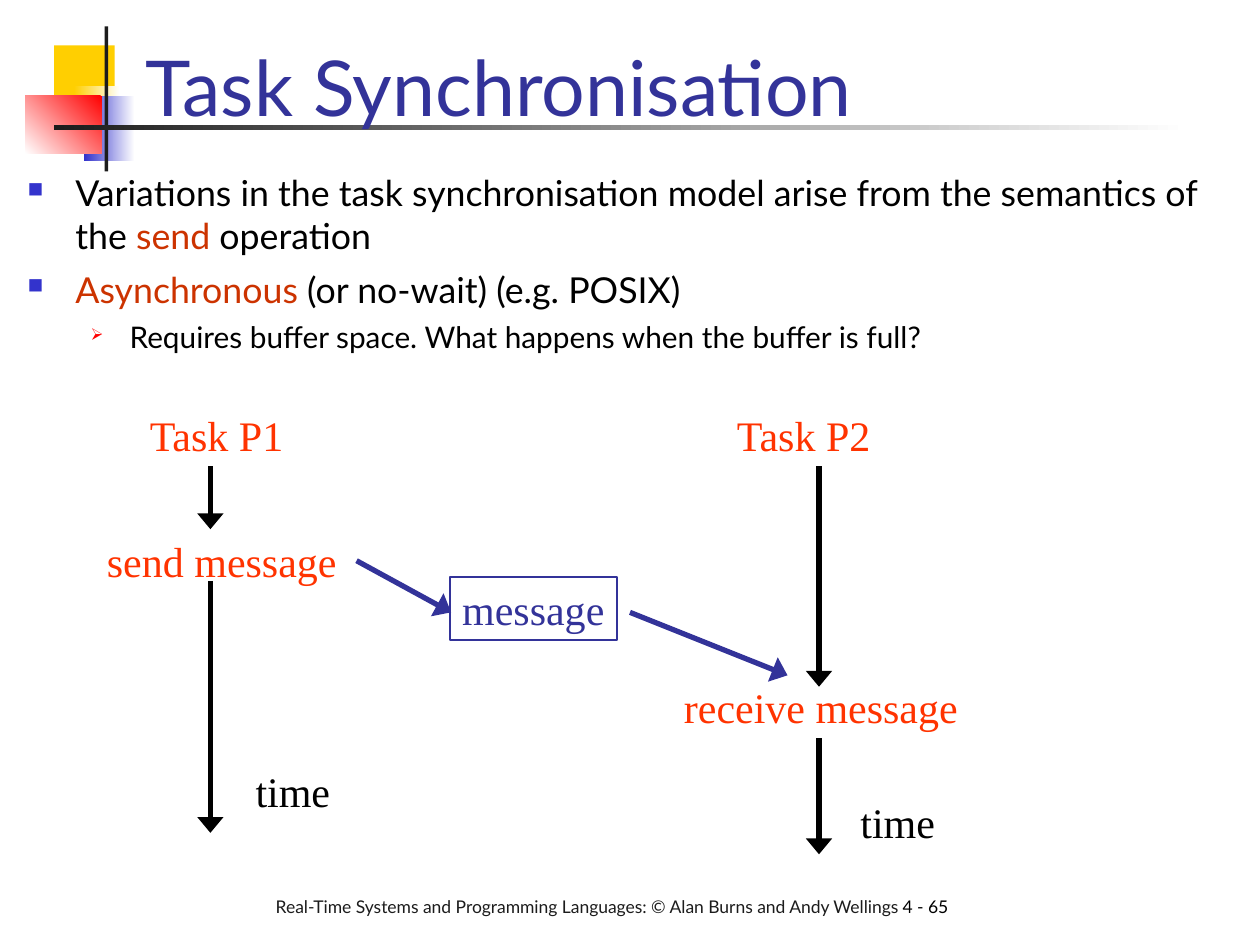
from lxml.etree import SubElement
from pptx import Presentation
from pptx.dml.color import RGBColor
from pptx.enum.shapes import MSO_CONNECTOR, MSO_SHAPE
from pptx.enum.text import MSO_ANCHOR, MSO_AUTO_SIZE, PP_ALIGN
from pptx.oxml.ns import qn
from pptx.util import Inches, Pt

COLORS = {
    "yellow": "FFCF01", "blue": "3333CC", "red": "FF0000", "white": "FFFFFF",
    "charcoal": "1C1C1C", "black": "000000", "navy": "333399",
    "keyword": "CC3300", "task": "FF3300",
}
HEADING_FONT = "Lato"
DIAGRAM_FONT = "Times New Roman"
P1_X, P2_X = 1.67, 6.5


def rgb(color):
    return RGBColor.from_string(COLORS[color])


def add_block(slide, box, *colors, angle=180):
    block = slide.shapes.add_shape(MSO_SHAPE.RECTANGLE, *map(Inches, box))
    block.shadow.inherit = False
    block.line.fill.background()
    if len(colors) == 1:
        block.fill.solid()
        block.fill.fore_color.rgb = rgb(colors[0])
    else:
        block.fill.gradient()
        block.fill.gradient_angle = angle
        for stop, color in zip(block.fill.gradient_stops, colors):
            stop.color.rgb = rgb(color)


def add_runs(paragraph, runs, size, font):
    for words, color in runs:
        run = paragraph.add_run()
        run.text = words
        run.font.size = Pt(size)
        run.font.name = font
        run.font.color.rgb = rgb(color)


def add_text(slide, box, runs, size, font, anchor=MSO_ANCHOR.TOP):
    frame = slide.shapes.add_textbox(*map(Inches, box)).text_frame
    frame.word_wrap = True
    frame.vertical_anchor = anchor
    add_runs(frame.paragraphs[0], runs, size, font)


def fill_label(frame, words, color):
    frame.word_wrap = False
    frame.auto_size = MSO_AUTO_SIZE.SHAPE_TO_FIT_TEXT
    frame.vertical_anchor = MSO_ANCHOR.TOP
    frame.paragraphs[0].alignment = PP_ALIGN.LEFT
    add_runs(frame.paragraphs[0], [(words, color)], 24, DIAGRAM_FONT)


def add_label(slide, box, words, color):
    label = slide.shapes.add_textbox(*map(Inches, box))
    fill_label(label.text_frame, words, color)


def add_message(slide, box):
    message = slide.shapes.add_shape(MSO_SHAPE.RECTANGLE, *map(Inches, box))
    message.shadow.inherit = False
    message.fill.background()
    message.line.color.rgb = rgb("navy")
    message.line.width = Pt(1)
    fill_label(message.text_frame, "message", "navy")


def add_bullet(paragraph, symbol, color, percent, left, hanging):
    properties = paragraph._p.get_or_add_pPr()
    properties.set("marL", str(Inches(left)))
    properties.set("indent", str(-Inches(hanging)))
    bullet_color = SubElement(properties, qn("a:buClr"))
    SubElement(bullet_color, qn("a:srgbClr"), val=COLORS[color])
    SubElement(properties, qn("a:buSzPct"), val=str(percent * 1000))
    SubElement(properties, qn("a:buChar"), char=symbol)


def add_points(slide, box, points):
    frame = slide.shapes.add_textbox(*map(Inches, box)).text_frame
    frame.word_wrap = True
    for index, (level, runs) in enumerate(points):
        point = frame.add_paragraph() if index else frame.paragraphs[0]
        if level:
            point.level = level
            add_bullet(point, "➢", "red", 55, 0.81, 0.31)
        else:
            add_bullet(point, "■", "blue", 60, 0.38, 0.38)
        if index:
            point.space_before = Pt(6 - level)
        add_runs(point, runs, 20.4 - 3.4 * level, HEADING_FONT)


def add_arrow(slide, start, end, color):
    arrow = slide.shapes.add_connector(
        MSO_CONNECTOR.STRAIGHT, *map(Inches, start + end))
    arrow.line.width = Pt(3)
    arrow.line.color.rgb = rgb(color)
    SubElement(arrow.line._get_or_add_ln(), qn("a:tailEnd"),
               type="triangle", w="lg", len="med")
    SubElement(arrow._element.spPr, qn("a:effectLst"))


def add_decoration(slide):
    add_block(slide, (0.43, 0.36, 0.48, 0.52), "yellow")
    add_block(slide, (0.59, 0.68, 0.36, 0.52), "white", "yellow")
    add_block(slide, (0.67, 0.76, 0.4, 0.52), "white", "blue")
    add_block(slide, (0.2, 0.76, 0.61, 0.46), "red", "white", angle=225)
    add_block(slide, (0.83, 0.21, 0.03, 1.15), "charcoal")
    add_block(slide, (0.43, 0.99, 9, 0.04), "white", "charcoal")


def add_diagram(slide):
    for box, words, color in (
        ((1.09, 3.2, 1.28, 0.5), "Task P1", "task"),
        ((5.75, 3.2, 1.28, 0.5), "Task P2", "task"),
        ((0.75, 4.2, 2.02, 0.5), "send message", "task"),
        ((5.33, 5.36, 2.38, 0.5), "receive message", "task"),
        ((1.93, 6.03, 0.79, 0.5), "time", "black"),
        ((6.73, 6.27, 0.79, 0.5), "time", "black"),
    ):
        add_label(slide, box, words, color)
    for x, top, bottom in (
        (P1_X, 3.7, 4.2), (P1_X, 4.61, 6.61),
        (P2_X, 3.7, 5.45), (P2_X, 5.86, 6.78),
    ):
        add_arrow(slide, (x, top), (x, bottom), "black")
    add_message(slide, (3.57, 4.58, 1.33, 0.5))
    add_arrow(slide, (2.83, 4.45), (3.58, 4.86), "navy")
    add_arrow(slide, (5, 4.86), (6.25, 5.36), "navy")


def main():
    deck = Presentation()
    deck.slide_width, deck.slide_height = Inches(10), Inches(7.5)
    slide = deck.slides.add_slide(deck.slide_layouts[6])
    add_decoration(slide)
    add_text(slide, (2.09, 7.06, 6.06, 0.46), [
        ("Real-Time Systems and Programming Languages: "
         "© Alan Burns and Andy Wellings ", "charcoal"),
        ("4 - 65", "black"),
    ], 10, HEADING_FONT)
    add_text(slide, (1.06, 0.13, 8.52, 0.97), [("Task Synchronisation", "navy")],
             44, HEADING_FONT, anchor=MSO_ANCHOR.BOTTOM)
    add_points(slide, (0.12, 1.31, 9.52, 1.63), [
        (0, [("Variations in the task synchronisation model arise "
              "from the semantics of the ", "black"),
             ("send", "keyword"), (" operation", "black")]),
        (0, [("Asynchronous", "keyword"),
             (" (or no-wait) (e.g. POSIX)", "black")]),
        (1, [("Requires buffer space. "
              "What happens when the buffer is full?", "black")]),
    ])
    add_diagram(slide)
    deck.save("out.pptx")


if __name__ == "__main__":
    main()
